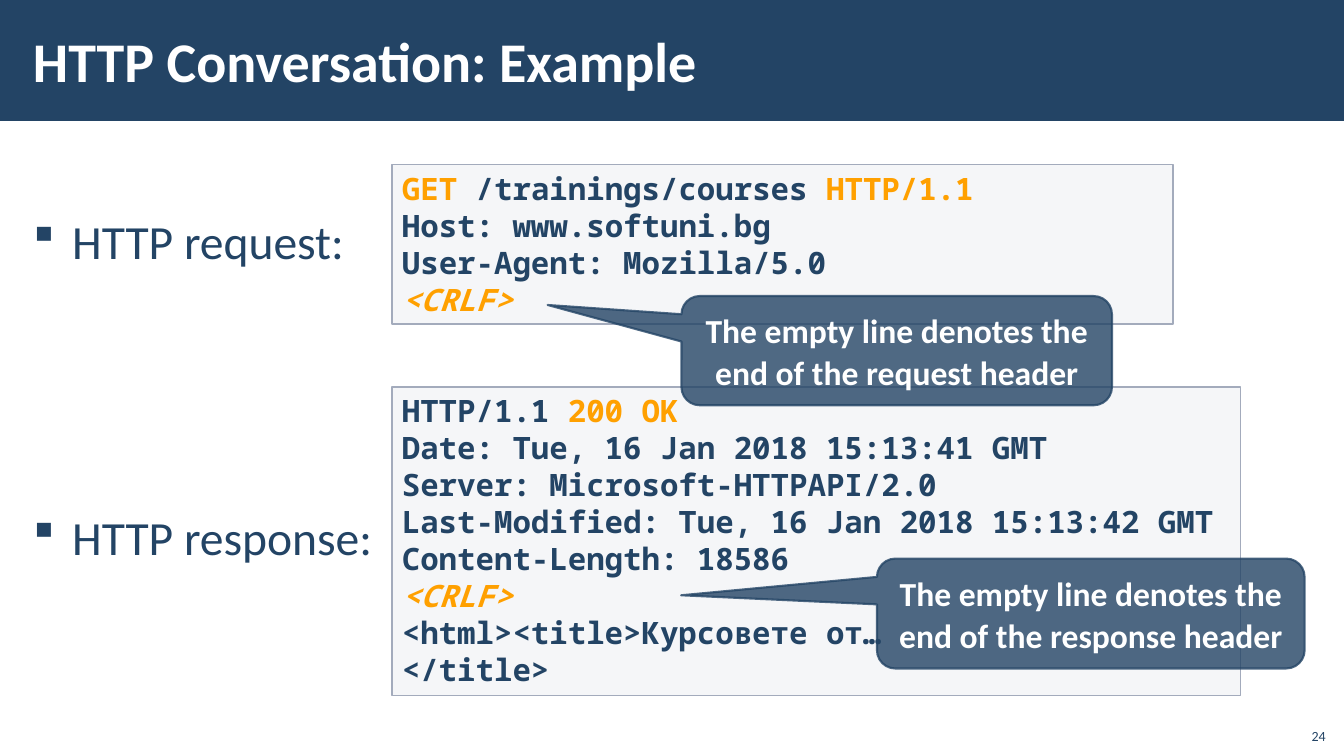
from pptx import Presentation
from pptx.dml.color import RGBColor
from pptx.enum import shapes, text
from pptx.oxml import parse_xml
from pptx.oxml.ns import nsdecls, qn
from pptx.util import Pt
from lxml import etree

INK = {"navy": "234465", "white": "FFFFFF", "amber": "FFA000",
       "panel": "C2C7D2", "edge": "A3ABBC"}
SANS, MONO = "Calibri", "Noto Sans Mono"
RECT = shapes.MSO_SHAPE.RECTANGLE
BALLOON = shapes.MSO_SHAPE.ROUNDED_RECTANGULAR_CALLOUT
MID = text.MSO_ANCHOR.MIDDLE


def paint(fill, color, alpha=100):
    fill.solid()
    fill.fore_color.rgb = RGBColor.from_string(INK[color])
    if alpha < 100:
        tint = fill._xPr.find(qn("a:solidFill"))[0]
        etree.SubElement(tint, qn("a:alpha")).set("val", str(alpha * 1000))


def style(font, size, color, name=SANS, bold=False, italic=False):
    font.size, font.name, font.bold, font.italic = Pt(size), name, bold, italic
    font.color.rgb = RGBColor.from_string(INK[color])


def block(slide, kind, box, fill, alpha=100, edge=None, width=1):
    """Add a flat preset shape, outlined only when an edge colour is given."""
    shape = slide.shapes.add_shape(kind, *map(Pt, box))
    shape.shadow.inherit = False
    paint(shape.fill, fill, alpha)
    if edge:
        shape.line.width = Pt(width)
        paint(shape.line.fill, edge, alpha if edge == fill else 100)
    else:
        shape.line.fill.background()
    shape.text_frame.word_wrap = True
    return shape


def label(slide, box, words, size, color, bold=False, anchor=MID):
    frame = slide.shapes.add_textbox(*map(Pt, box)).text_frame
    frame.word_wrap = True
    frame.vertical_anchor = anchor
    frame.text = words
    para = frame.paragraphs[0]
    style(para.runs[0].font, size, color, bold=bold)
    return para


def header(slide, box, words):
    left, top, wide, high = box
    block(slide, RECT, box, "navy")
    para = label(slide, (left + 16.5, top + 8, 765, high - 16.4), words, 40, "white", True)
    para.line_spacing = 1


def bullet(slide, box, words):
    para = label(slide, box, words, 34, "navy")
    props = para._p.get_or_add_pPr()
    props.set("marL", str(Pt(28)))
    props.set("indent", str(Pt(-28)))
    props.append(parse_xml(f'<a:buFont {nsdecls("a")} typeface="Wingdings"/>'))
    props.append(parse_xml(f'<a:buChar {nsdecls("a")} char="§"/>'))


def code(slide, box, lines):
    """Fill a panel with code; each line is a list of (text, is_marked) parts."""
    frame = block(slide, RECT, box, "panel", 15, "edge").text_frame
    frame.vertical_anchor = text.MSO_ANCHOR.TOP
    for n, parts in enumerate(lines):
        para = frame.add_paragraph() if n else frame.paragraphs[0]
        para.alignment = text.PP_ALIGN.LEFT
        for words, mark in parts:
            run = para.add_run()
            run.text = words
            style(run.font, 22, "amber" if mark else "navy", MONO, True,
                  words == "<CRLF>")


def balloon(slide, box, tip, words):
    """Add a callout whose tip is an offset from its centre, in box sizes."""
    shape = block(slide, BALLOON, box, "navy", 80, "navy", 1.5)
    for n, value in enumerate((*tip, 0.167)):
        shape.adjustments[n] = value
    frame = shape.text_frame
    frame.vertical_anchor = MID
    frame.text = words
    para = frame.paragraphs[0]
    para.alignment = text.PP_ALIGN.CENTER
    para.line_spacing = Pt(30)
    style(para.runs[0].font, 24, "white", bold=True)


def message(slide, box, kind, drop, lines, note, tip):
    """Place a bullet, its code panel and a callout given relative to the panel."""
    left, top, wide, high = box
    bullet(slide, (left - 263.5, top + drop - 25, 262, 50), f"HTTP {kind}:")
    code(slide, box, lines)
    dx, dy, *size = note
    balloon(slide, (left + dx, top + dy, *size), tip,
            f"The empty line denotes the end of the {kind} header")


def plain(*lines):
    return [[(line, False)] for line in lines]


def main():
    deck = Presentation()
    deck.slide_width, deck.slide_height = Pt(960), Pt(540)
    slide = deck.slides.add_slide(deck.slide_layouts[6])
    header(slide, (0, 0, 960, 86.4), "HTTP Conversation: Example")
    end = [[("<CRLF>", True)]]
    reply = [[("HTTP/1.1 ", False), ("200 OK", True)]]
    reply += plain("Date: Tue, 16 Jan 2018 15:13:41 GMT",
                   "Server: Microsoft-HTTPAPI/2.0",
                   "Last-Modified: Tue, 16 Jan 2018 15:13:42 GMT",
                   "Content-Length: 18586")
    reply += end + plain("<html><title>Курсовете от…", "</title>")
    query = [[("GET", True), (" /trainings/courses ", False), ("HTTP/1.1", True)]]
    query += plain("Host: www.softuni.bg", "User-Agent: Mozilla/5.0") + end
    message(slide, (280, 276.5, 606, 220.5), "response", 106.5, reply,
            (346.4, 122.5, 305.5, 78.5), (-0.958, -0.166))
    message(slide, (280, 117.5, 558, 114), "request", 54, query,
            (206.8, 94, 307.5, 78), (-0.811, -0.418))
    page = label(slide, (925, 512.5, 29, 23), "24", 10, "navy",
                 anchor=text.MSO_ANCHOR.BOTTOM)
    page.alignment = text.PP_ALIGN.RIGHT
    deck.save("out.pptx")


if __name__ == "__main__":
    main()
